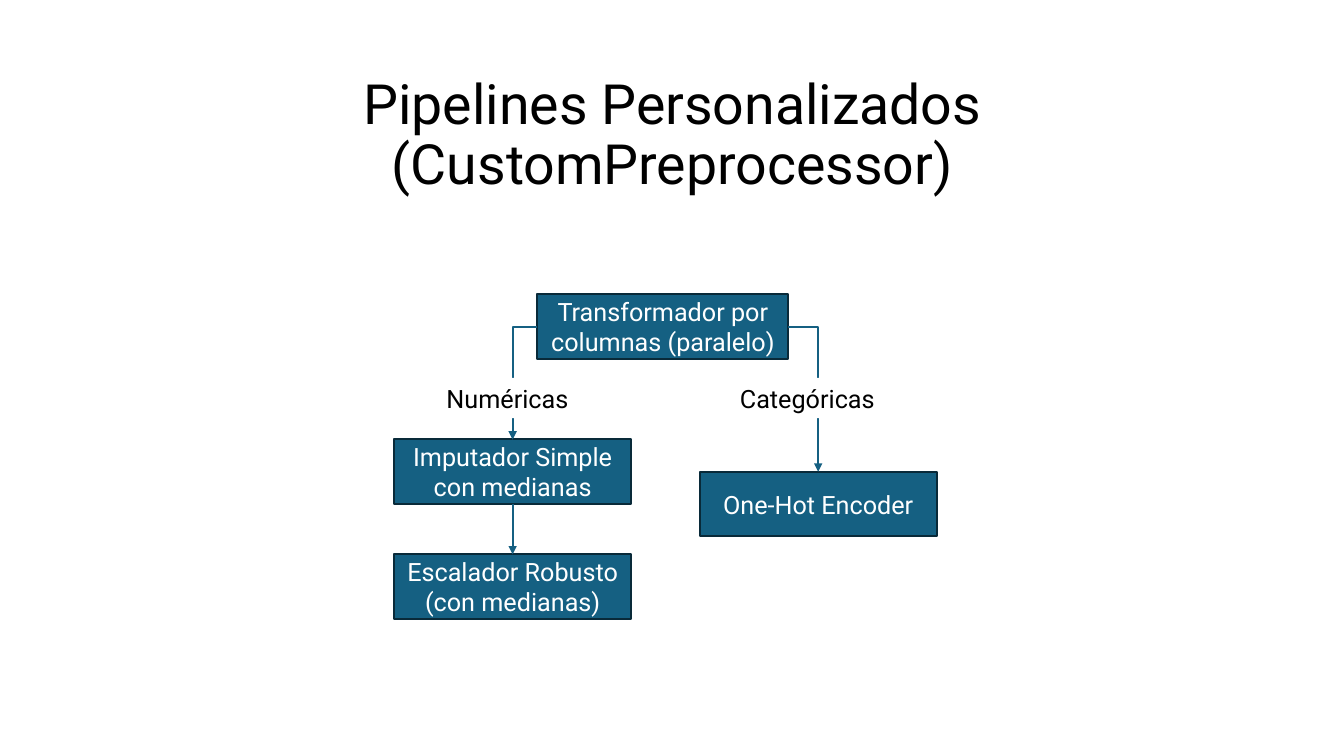
import dataclasses

import lxml.etree
import pptx
import pptx.dml.color
import pptx.enum.shapes
import pptx.enum.text
import pptx.oxml.ns
import pptx.util

Inches = pptx.util.Inches
Align = pptx.enum.text.PP_ALIGN
Kind = pptx.enum.shapes.MSO_CONNECTOR
qn = pptx.oxml.ns.qn

COLORS = {"fill": "156082", "edge": "092A39", "white": "FFFFFF", "black": "000000"}
TOP, LEFT, BOTTOM, RIGHT = range(4)
HIGH = 0.64


@dataclasses.dataclass
class Box:
    name: str
    text: str
    left: float
    top: float
    width: float = 2.35


@dataclasses.dataclass
class Link:
    start: str
    side: int
    end: str


@dataclasses.dataclass
class Label:
    text: str
    left: float


BOXES = [
    Box("imputer", "Imputador Simple con medianas", 3.91, 4.36),
    Box("scaler", "Escalador Robusto (con medianas)", 3.91, 5.5),
    Box("encoder", "One-Hot Encoder", 6.94, 4.68),
    Box("columns", "Transformador por columnas (paralelo)", 5.33, 2.92, 2.49),
]
BRANCHES = [Link("columns", LEFT, "imputer"), Link("columns", RIGHT, "encoder")]
STEP = Link("imputer", BOTTOM, "scaler")
LABELS = [Label("Numéricas", 4.33), Label("Categóricas", 7.24)]


def color(name: str) -> pptx.dml.color.RGBColor:
    return pptx.dml.color.RGBColor.from_string(COLORS[name])


def write(shape, text: str, *, size: float = 18, ink: str = "black",
          align=Align.CENTER, space: float = 1.0) -> None:
    frame = shape.text_frame
    frame.word_wrap = True
    frame.vertical_anchor = pptx.enum.text.MSO_ANCHOR.MIDDLE
    para = frame.paragraphs[0]
    para.text = text
    para.alignment = align
    para.line_spacing = space
    for run in para.runs:
        run.font.name = "Roboto"
        run.font.size = pptx.util.Pt(size)
        run.font.color.rgb = color(ink)


def block(slide, left: float, top: float, width: float, height: float, fill: str):
    """Add a filled rectangle without outline or shadow."""
    shape = slide.shapes.add_shape(
        pptx.enum.shapes.MSO_SHAPE.RECTANGLE,
        Inches(left), Inches(top), Inches(width), Inches(height))
    shape.shadow.inherit = False
    shape.fill.solid()
    shape.fill.fore_color.rgb = color(fill)
    shape.line.fill.background()
    return shape


def draw_box(slide, box: Box):
    shape = block(slide, box.left, box.top, box.width, HIGH, "fill")
    shape.line.color.rgb = color("edge")
    shape.line.width = pptx.util.Pt(1.5)
    write(shape, box.text, ink="white")
    return shape


def draw_label(slide, label: Label) -> None:
    shape = block(slide, label.left, 3.75, 1.75, 0.4, "white")
    write(shape, label.text, align=Align.LEFT)


def draw_link(slide, link: Link, nodes: dict, kind=Kind.STRAIGHT) -> None:
    """Join a side of one box to the top of another with an arrow."""
    line = slide.shapes.add_connector(kind, 0, 0, 0, 0)
    line.begin_connect(nodes[link.start], link.side)
    line.end_connect(nodes[link.end], TOP)
    line.line.color.rgb = color("fill")
    line.line.width = pptx.util.Pt(1.5)
    props = line.element.spPr
    if kind == Kind.ELBOW:
        props.find(qn("a:prstGeom")).set("prst", "bentConnector2")
    lxml.etree.SubElement(props.find(qn("a:ln")), qn("a:tailEnd"), type="triangle")
    lxml.etree.SubElement(props, qn("a:effectLst"))


def main() -> None:
    deck = pptx.Presentation()
    deck.slide_width, deck.slide_height = Inches(13.33), Inches(7.5)
    slide = deck.slides.add_slide(deck.slide_layouts[6])

    title = slide.shapes.add_textbox(
        Inches(0.92), Inches(1.03), Inches(11.5), Inches(0.65))
    write(title, "Pipelines Personalizados\n(CustomPreprocessor)", size=39.6, space=0.9)

    nodes = {box.name: draw_box(slide, box) for box in BOXES}
    for link in BRANCHES:
        draw_link(slide, link, nodes, Kind.ELBOW)
    for label in LABELS:
        draw_label(slide, label)
    draw_link(slide, STEP, nodes)

    deck.save("out.pptx")


if __name__ == "__main__":
    main()
